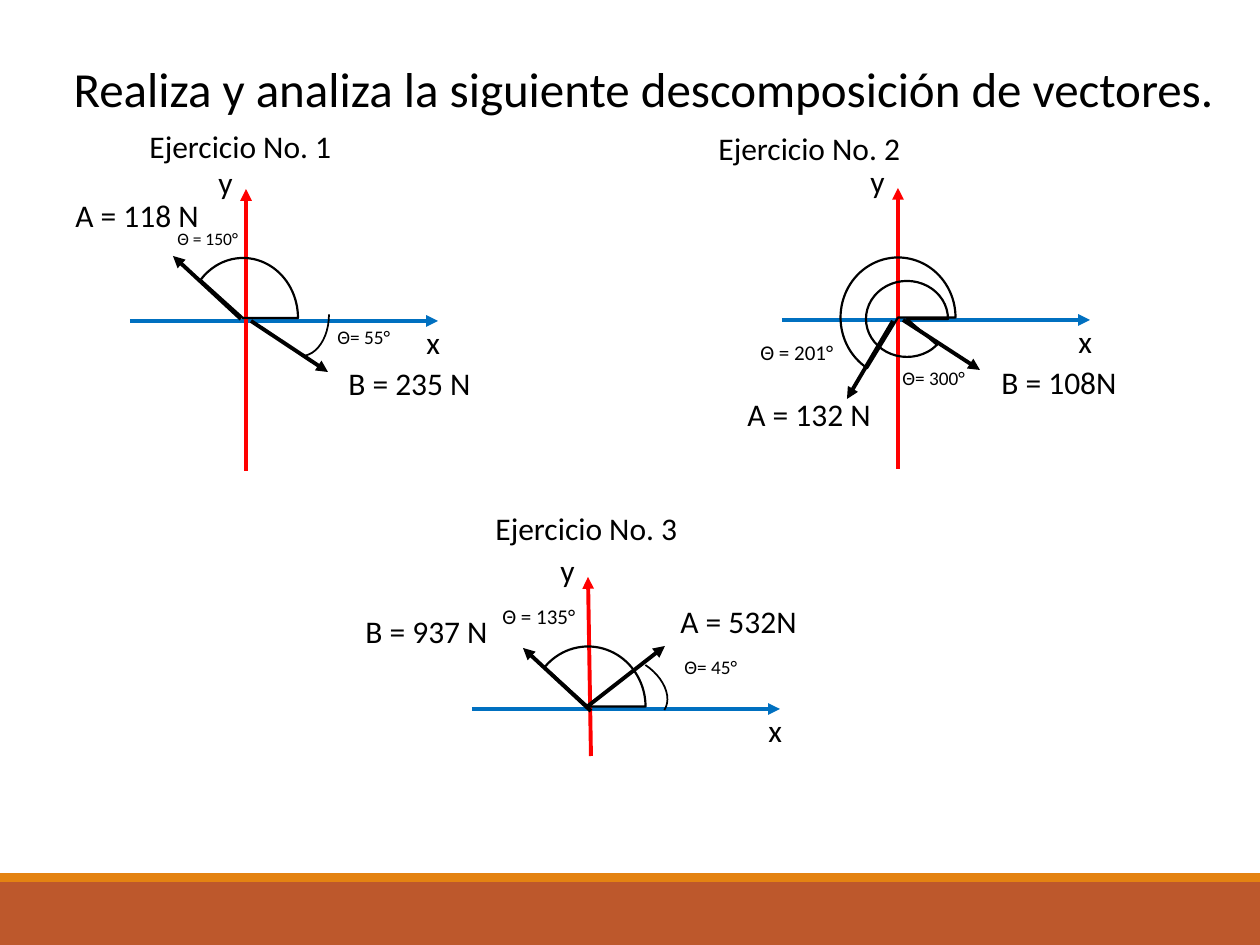
from pptx import Presentation
from pptx.dml.color import RGBColor
from pptx.enum.shapes import MSO_CONNECTOR, MSO_SHAPE
from pptx.enum.text import MSO_ANCHOR, MSO_AUTO_SIZE, PP_ALIGN
from pptx.oxml.ns import qn
from pptx.util import Pt
from lxml.etree import SubElement

SCALE = 914400 / 126
BLACK = RGBColor(0, 0, 0)
RED = RGBColor(0xFF, 0, 0)
BLUE = RGBColor(0, 0x70, 0xC0)
RUST = RGBColor(0xBD, 0x58, 0x2C)
AMBER = RGBColor(0xE4, 0x83, 0x12)
PIE, ARC = MSO_SHAPE.PIE, MSO_SHAPE.ARC

TITLE = "Realiza y analiza la siguiente descomposición de vectores."
BANDS = [((0, 882, 1260, 63), RUST), ((0, 873, 1260, 9), AMBER)]
HEIGHTS = {18: 50, 12: 38, 11: 37, 10: 34}  # label height by text size

# origin: where the axes cross; foot: lower end of the y axis from there
# labels: text, size, left, top, width
# vectors: tail x, y, head x, y
# angles: shape, box, rotation, start and end in degrees
TASKS = [
    dict(
        origin=(246, 321), foot=(0, 150),
        labels=[
            ("Ejercicio No. 1", 18, 137, 121, 209),
            ("Θ= 55°", 11, 325, 319, 97),
            ("Θ = 150°", 10, 165, 222, 96),
            ("A = 118 N", 18, 63, 190, 150),
            ("B = 235 N", 18, 336, 358, 150),
        ],
        vectors=[(251, 321, 328, 372), (241, 319, 173, 256)],
        angles=[
            (ARC, (260, 287, 83, 55), 90, 270, 0),
            (PIE, (183, 263, 120, 110), 90, 132, 270),
        ],
    ),
    dict(
        origin=(898, 320), foot=(0, 149),
        labels=[
            ("Ejercicio No. 2", 18, 706, 123, 209),
            ("Θ= 300°", 11, 890, 360, 97),
            ("Θ = 201°", 12, 748, 333, 110),
            ("A = 132 N", 18, 735, 389, 150),
            ("B = 108N", 18, 989, 357, 142),
        ],
        vectors=[(903, 320, 980, 370), (893, 321, 847, 399)],
        angles=[
            (PIE, (838, 260, 120, 115), 90, 31.37, 270),
            (PIE, (869, 278, 76, 82), 90, 310.86, 270),
        ],
    ),
    dict(
        origin=(588, 709), foot=(3, 47),
        labels=[
            ("Ejercicio No. 3", 18, 483, 503, 209),
            ("Θ= 45°", 11, 672, 649, 97),
            ("Θ = 135°", 12, 490, 597, 110),
            ("B = 937 N", 18, 353, 606, 150),
            ("A = 532N", 18, 668, 596, 142),
        ],
        vectors=[(588, 706, 665, 646), (591, 711, 523, 648)],
        angles=[
            (PIE, (528, 649, 120, 115), 90, 132.29, 270),
            (ARC, (588, 660, 83, 55), 32.9, 272.36, 0),
        ],
    ),
]


def px(*nums):
    return [round(n * SCALE) for n in nums]


def write(shape, text, size):
    frame = shape.text_frame
    frame.text = text
    frame.word_wrap = False
    frame.auto_size = MSO_AUTO_SIZE.SHAPE_TO_FIT_TEXT
    frame.vertical_anchor = MSO_ANCHOR.TOP
    para = frame.paragraphs[0]
    para.alignment = PP_ALIGN.LEFT
    font = para.runs[0].font
    font.name, font.size = "Calibri", Pt(size)
    font.color.rgb = BLACK


def label(slide, text, size, left, top, width):
    box = slide.shapes.add_textbox(*px(left, top, width, HEIGHTS[size]))
    write(box, text, size)


def arrow(slide, ends, color):
    line = slide.shapes.add_connector(MSO_CONNECTOR.STRAIGHT, *px(*ends))
    line.line.color.rgb = color
    line.line.width = Pt(2.25)
    SubElement(line.line._get_or_add_ln(), qn("a:tailEnd"), type="triangle")
    SubElement(line._element.spPr, qn("a:effectLst"))


def angle(slide, kind, box, turn, start, end):
    shape = slide.shapes.add_shape(kind, *px(*box))
    shape.shadow.inherit = False
    shape.rotation = turn
    for i, deg in enumerate((start, end)):
        shape.adjustments[i] = deg * 0.6  # 60000 units a degree, over 100000
    shape.fill.background()
    shape.line.color.rgb = BLACK
    shape.line.width = Pt(1.25 if kind == PIE else 1)


def draw(slide, task):
    x, y = task["origin"]
    dx, dy = task["foot"]
    arrow(slide, (x - 116, y, x + 192, y), BLUE)
    arrow(slide, (x + dx, y + dy, x, y - 132), RED)
    label(slide, "y", 18, x - 40, y - 164, 40)
    label(slide, "x", 18, x + 168, y - 4, 40)
    for item in task["labels"]:
        label(slide, *item)
    for ends in task["vectors"]:
        arrow(slide, ends, BLACK)
    for item in task["angles"]:
        angle(slide, *item)


def main():
    prs = Presentation()
    prs.slide_width, prs.slide_height = px(1260, 945)
    slide = prs.slides.add_slide(prs.slide_layouts[5])
    for box, color in BANDS:
        band = slide.shapes.add_shape(MSO_SHAPE.RECTANGLE, *px(*box))
        band.shadow.inherit = False
        band.fill.solid()
        band.fill.fore_color.rgb = color
        band.line.fill.background()
    title = slide.shapes.title
    title.left, title.top, title.width, title.height = px(61, 52, 1177, 72)
    write(title, TITLE, 28)
    for task in TASKS:
        draw(slide, task)
    prs.save("out.pptx")


if __name__ == "__main__":
    main()
